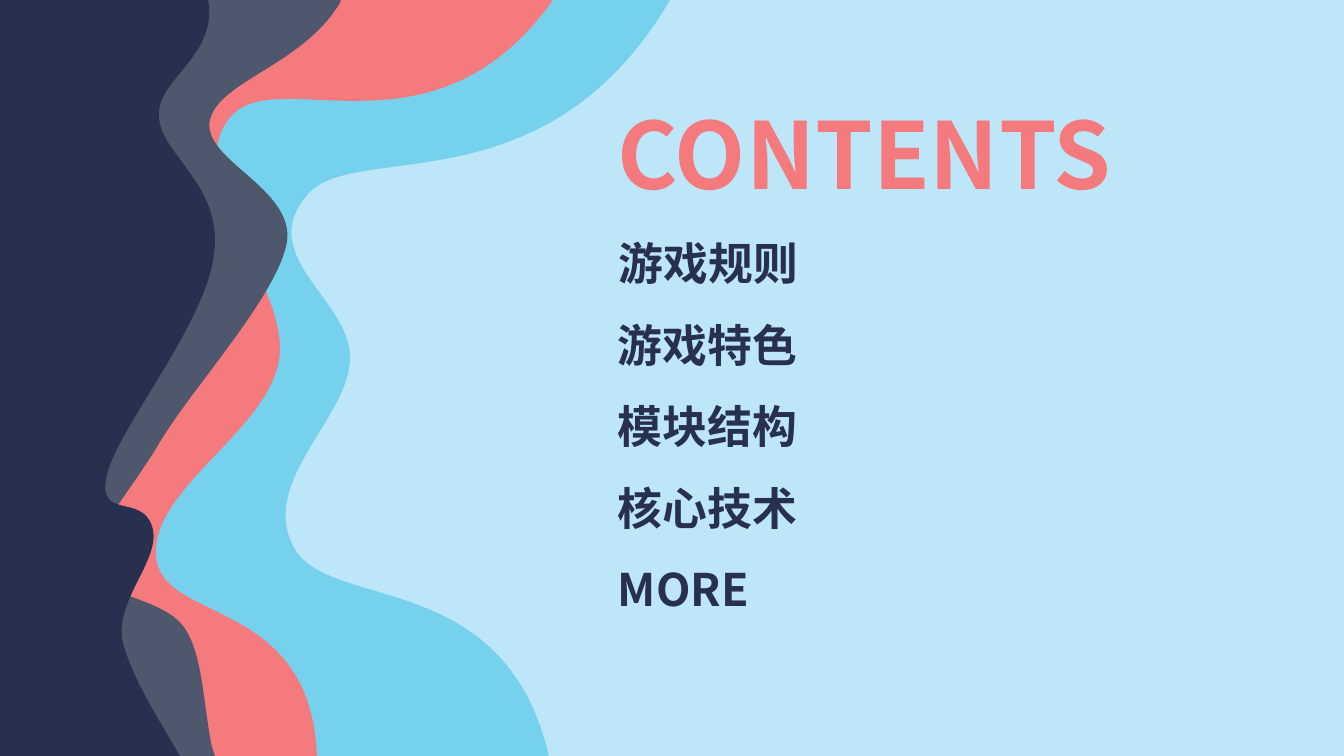
from pptx import Presentation
from pptx.dml.color import RGBColor
from pptx.enum.text import MSO_AUTO_SIZE
from pptx.oxml.ns import qn
from pptx.util import Inches, Pt

EMU_PER_PX = Inches(1) / 100.8
SLIDE_W, SLIDE_H = 1344, 756
FONT = "Noto Sans CJK SC"
NAVY, SLATE, CORAL, SKY, PALE = "28304F", "4E576C", "F47A7E", "76D1ED", "BDE6F8"

# Each wave: colour, left edge, right edge from top to bottom.
# Two numbers are a corner; six are a curve (two controls and its end).
WAVES = [
    (SKY, 112, [
        (670, 0), (546, 211, 356, 140, 308, 194), (253, 257, 353, 301, 350, 360),
        (348, 418, 260, 481, 293, 546), (327, 613, 504, 565, 549, 756)]),
    (CORAL, 55, [
        (553, 0), (431, 171, 272, 58, 228, 120), (182, 183, 291, 287, 279, 360),
        (267, 432, 150, 489, 156, 557), (162, 622, 302, 598, 316, 742), (317, 756)]),
    (SLATE, 37, [
        (341, 0), (340, 3), (303, 65, 219, 81, 210, 120),
        (201, 160, 295, 188, 287, 242), (278, 295, 193, 387, 160, 442),
        (128, 496, 89, 535, 93, 566), (97, 599, 164, 595, 186, 630),
        (203, 657, 204, 709, 212, 747), (215, 756)]),
    (NAVY, 0, [
        (208, 0), (209, 5), (214, 59, 156, 80, 159, 117),
        (161, 156, 223, 184, 214, 254), (206, 324, 117, 429, 107, 475),
        (96, 521, 141, 493, 152, 526), (163, 559, 113, 600, 123, 643),
        (133, 680, 157, 716, 177, 751), (180, 756)]),
]
TEXT_LEFT = 608
CHAPTERS = [("游戏规则", TEXT_LEFT + 1), ("游戏特色", TEXT_LEFT), ("模块结构", TEXT_LEFT),
            ("核心技术", TEXT_LEFT), ("MORE", TEXT_LEFT)]
CHAPTER_TOP, CHAPTER_PITCH = 231, 81.6


def px(length):
    return round(length * EMU_PER_PX)


def color(hex_code):
    return RGBColor.from_string(hex_code)


def bend_lines(wave, segments):
    """Merge the three lines that stand for each curve into one cubic curve."""
    lines = wave._element.iter(qn("a:lnTo"))
    lines = iter(list(lines))
    for segment in segments:
        first = next(lines)
        if len(segment) == 6:
            first.tag = qn("a:cubicBezTo")
            for line in (next(lines), next(lines)):
                first.append(line[0])
                line.getparent().remove(line)


def add_wave(group, fill, left, edge):
    segments = edge + [(left, SLIDE_H), (left, 0)]
    points = [(px(segment[i]), px(segment[i + 1]))
              for segment in segments for i in range(0, len(segment), 2)]
    builder = group.shapes.build_freeform(*points[0])
    builder.add_line_segments(points[1:], close=True)
    wave = builder.convert_to_shape()
    bend_lines(wave, segments[1:])
    wave.shadow.inherit = False
    wave.fill.solid()
    wave.fill.fore_color.rgb = color(fill)
    wave.line.fill.background()


def add_text(slide, text, left, top, height, size, hex_code):
    box = slide.shapes.add_textbox(px(left), px(top), px(592), px(height))
    frame = box.text_frame
    frame.word_wrap = True
    frame.auto_size = MSO_AUTO_SIZE.SHAPE_TO_FIT_TEXT
    run = frame.paragraphs[0].add_run()
    run.text = text
    run.font.color.rgb = color(hex_code)
    for name, value in {"name": FONT, "size": Pt(size), "bold": True}.items():
        setattr(run.font, name, value)
    # Chinese glyphs take the East Asian typeface
    east_asian = run.font._element.makeelement(qn("a:ea"), {"typeface": FONT})
    run.font._element.find(qn("a:latin")).addnext(east_asian)


def main():
    deck = Presentation()
    deck.slide_width, deck.slide_height = px(SLIDE_W), px(SLIDE_H)
    slide = deck.slides.add_slide(deck.slide_layouts[6])
    slide.background.fill.solid()
    slide.background.fill.fore_color.rgb = color(PALE)

    # Layered waves, back to front
    waves = slide.shapes.add_group_shape()
    for fill, left, edge in WAVES:
        add_wave(waves, fill, left, edge)

    # Heading and chapter list
    add_text(slide, "CONTENTS", TEXT_LEFT, 92, 122, 66, CORAL)
    for row, (chapter, left) in enumerate(CHAPTERS):
        top = round(CHAPTER_TOP + row * CHAPTER_PITCH)
        add_text(slide, chapter, left, top, 65, 32, NAVY)

    deck.save("out.pptx")


main()
